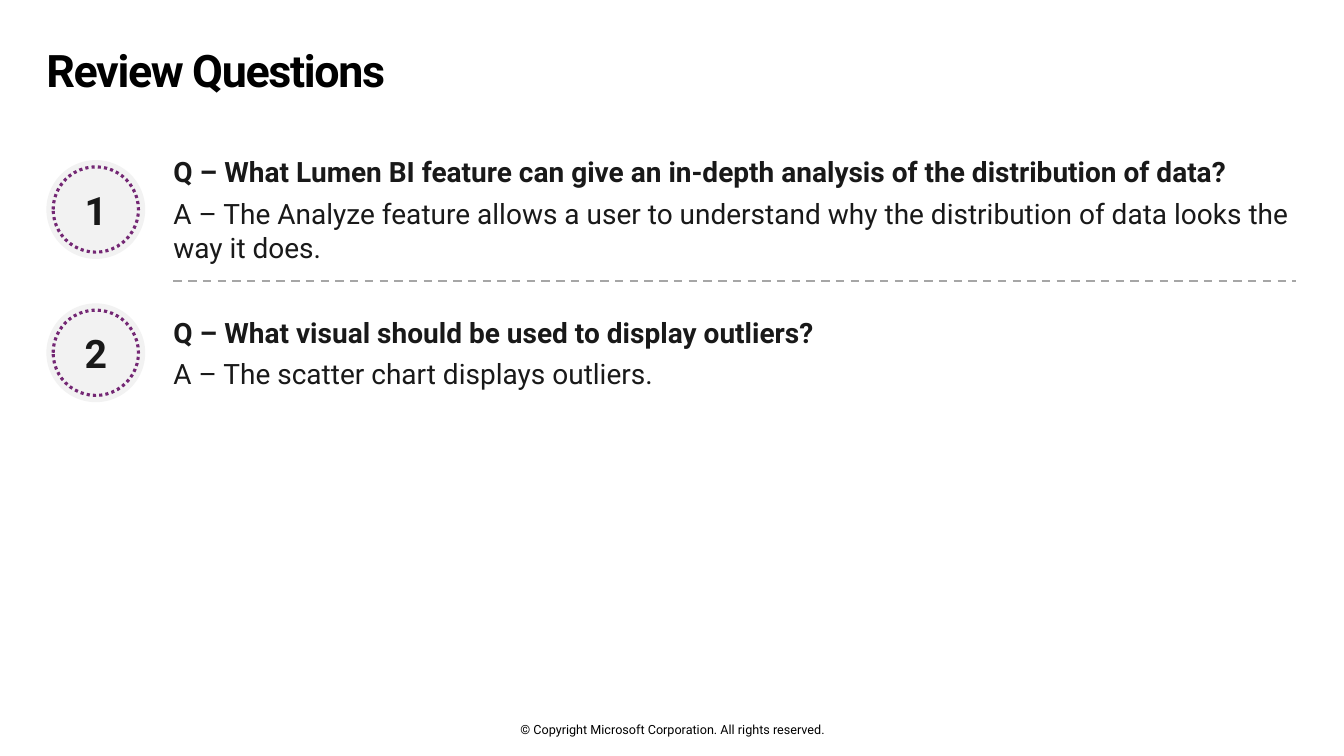
from lxml.etree import SubElement
from pptx import Presentation
from pptx.dml.color import RGBColor
from pptx.enum.dml import MSO_LINE
from pptx.enum.shapes import MSO_CONNECTOR, MSO_SHAPE
from pptx.enum.text import MSO_ANCHOR, MSO_AUTO_SIZE, PP_ALIGN
from pptx.oxml.ns import qn
from pptx.util import Cm, Pt

MARGIN = 1.17
ROW_TOP, ROW_HEIGHT, ROW_PITCH = 3.91, 2.74, 3.61
DISC, RING = 2.49, 2.15
TEXT_LEFT, TEXT_WIDTH = 4.37, 28.35

QUESTIONS = [
    ("Q – What Lumen BI feature can give an in-depth analysis of the distribution of data?",
     "A – The Analyze feature allows a user to understand why the distribution of data looks the way it does.",
     6),
    ("Q – What visual should be used to display outliers?",
     "A – The scatter chart displays outliers.",
     5),
]


def colour(value):
    return RGBColor.from_string(value)


def set_all(target, values):
    for name, value in values.items():
        setattr(target, name, value)


def prepare_frame(shape, anchor):
    frame = shape.text_frame
    set_all(frame, {"margin_left": 0, "margin_top": 0, "margin_right": 0, "margin_bottom": 0,
                    "word_wrap": True, "auto_size": MSO_AUTO_SIZE.NONE, "vertical_anchor": anchor})
    return frame


def write(para, text, size, hex_colour, bold=False, **layout):
    span = para.add_run()
    span.text = text
    set_all(span.font, {"name": "Roboto", "size": Pt(size), "bold": bold})
    span.font.color.rgb = colour(hex_colour)
    set_all(para, layout)
    return span


def add_title(page, left, top, width, height):
    title = page.shapes.title
    set_all(title, {"left": Cm(left), "top": Cm(top), "width": Cm(width), "height": Cm(height)})
    para = prepare_frame(title, MSO_ANCHOR.TOP).paragraphs[0]
    span = write(para, "Review Questions", 32, "000000", True,
                 alignment=PP_ALIGN.LEFT, line_spacing=0.9)
    span.font._element.set("spc", "-100")


def add_circle(group, centre_x, centre_y, size):
    circle = group.shapes.add_shape(MSO_SHAPE.OVAL, Cm(centre_x - size / 2),
                                    Cm(centre_y - size / 2), Cm(size), Cm(size))
    circle.shadow.inherit = False
    return circle


def add_badge(page, number, left, centre_y):
    group = page.shapes.add_group_shape()
    centre_x = left + DISC / 2
    disc = add_circle(group, centre_x, centre_y, DISC)
    disc.fill.solid()
    disc.fill.fore_color.rgb = colour("F2F2F2")
    disc.line.fill.background()
    ring = add_circle(group, centre_x, centre_y, RING)
    ring.fill.background()
    ring.line.color.rgb = colour("742774")
    set_all(ring.line, {"width": Pt(2.25), "dash_style": MSO_LINE.ROUND_DOT})
    para = prepare_frame(ring, MSO_ANCHOR.MIDDLE).paragraphs[0]
    write(para, str(number), 28, "191919", True, alignment=PP_ALIGN.CENTER)


def add_question(page, number, question, answer, gap, top):
    add_badge(page, number, MARGIN, top + ROW_HEIGHT / 2)
    box = page.shapes.add_textbox(Cm(TEXT_LEFT), Cm(top), Cm(TEXT_WIDTH), Cm(ROW_HEIGHT))
    frame = prepare_frame(box, MSO_ANCHOR.MIDDLE)
    write(frame.paragraphs[0], question, 20, "191919", True)
    write(frame.add_paragraph(), answer, 20, "191919", space_before=Pt(gap))


def add_divider(page, left, y, width):
    divider = page.shapes.add_connector(MSO_CONNECTOR.STRAIGHT, Cm(left), Cm(y),
                                        Cm(left + width), Cm(y))
    divider.line.color.rgb = colour("A6A6A6")
    set_all(divider.line, {"width": Pt(1.5), "dash_style": MSO_LINE.DASH})
    SubElement(divider._element.spPr, qn("a:effectLst"))


def add_copyright(page, left, top, width, height):
    box = page.shapes.add_textbox(Cm(left), Cm(top), Cm(width), Cm(height))
    para = prepare_frame(box, MSO_ANCHOR.MIDDLE).paragraphs[0]
    write(para, "© Copyright Microsoft Corporation. All rights reserved.", 9, "000000",
          alignment=PP_ALIGN.CENTER)


def main():
    deck = Presentation()
    set_all(deck, {"slide_width": Cm(33.87), "slide_height": Cm(19.05)})
    page = deck.slides.add_slide(deck.slide_layouts[5])
    add_title(page, MARGIN, 1.22, 31.5, 1.88)
    for index, (question, answer, gap) in enumerate(QUESTIONS):
        add_question(page, index + 1, question, answer, gap, ROW_TOP + index * ROW_PITCH)
    add_divider(page, TEXT_LEFT, 7.09, 28.29)
    add_copyright(page, 11.23, 18.19, 11.43, 0.38)
    deck.save("out.pptx")


if __name__ == "__main__":
    main()
